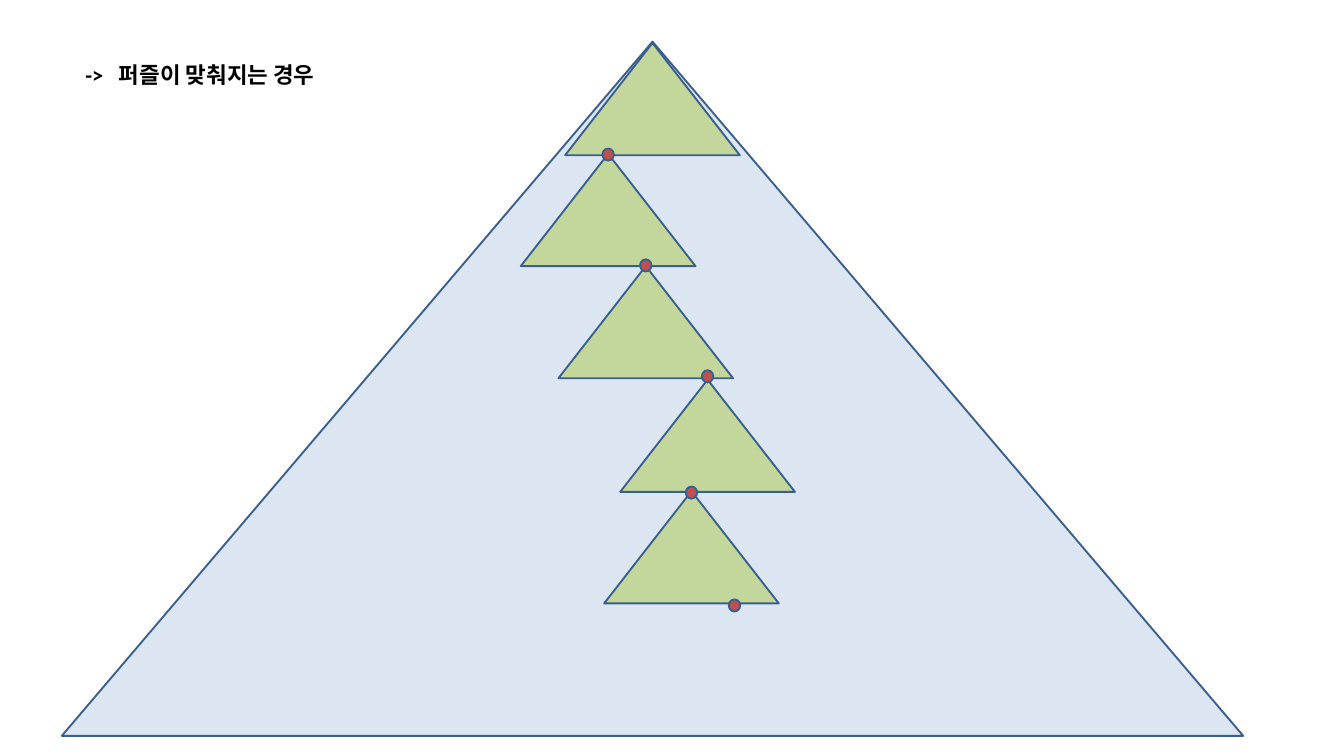
from pptx import Presentation
from pptx.dml.color import RGBColor
from pptx.enum.shapes import MSO_SHAPE as SHAPE
from pptx.enum.text import MSO_ANCHOR, MSO_AUTO_SIZE, PP_ALIGN
from pptx.oxml.ns import qn
from pptx.util import Inches, Pt
from lxml import etree

PALE_BLUE = RGBColor(0xDC, 0xE6, 0xF2)
GREEN = RGBColor(0xC3, 0xD6, 0x9B)
RED = RGBColor(0xC0, 0x50, 0x4D)
OUTLINE = RGBColor(0x3A, 0x5F, 0x8C)
BLACK = RGBColor(0, 0, 0)

# Content: heading, tops of the small triangles, centres of the joints
HEADING = "->\t퍼즐이 맞춰지는 경우"
APEXES = [(9.71, 0.64), (9.05, 2.29), (9.61, 3.96), (10.53, 5.65), (10.29, 7.31)]
JOINTS = [(9.05, 2.3), (9.61, 3.95), (10.53, 5.6), (10.29, 7.33), (10.93, 9.01)]
PIECE_W, PIECE_H = 2.6, 1.67
DOT_W, DOT_H = 0.17, 0.18


def add_shape(s, kind, left, top, width, height, fill):
    sp = s.shapes.add_shape(kind, Inches(left), Inches(top), Inches(width), Inches(height))
    sp.shadow.inherit = False
    sp.fill.solid()
    sp.fill.fore_color.rgb = fill
    sp.line.color.rgb = OUTLINE
    sp.line.width = Pt(2)


prs = Presentation()
prs.slide_width, prs.slide_height = Inches(20), Inches(11.25)
s = prs.slides.add_slide(prs.slide_layouts[5])

# Heading
title = s.shapes.title
title.left, title.top = Inches(1.06), Inches(0.55)
title.width, title.height = Inches(4.17), Inches(0.81)
tf = title.text_frame
tf.text = HEADING
tf.word_wrap = True
tf.auto_size = MSO_AUTO_SIZE.NONE
tf.vertical_anchor = MSO_ANCHOR.BOTTOM
tf.margin_left = Inches(0.21)
p = tf.paragraphs[0]
p.alignment = PP_ALIGN.LEFT
tabs = etree.SubElement(p._p.get_or_add_pPr(), qn("a:tabLst"))
etree.SubElement(tabs, qn("a:tab"), pos=str(Inches(0.5)), algn="l")
for r in p.runs:
    r.font.name = "Calibri"
    r.font.size = Pt(24)
    r.font.bold = True
    r.font.color.rgb = BLACK

# Large triangle, the chain of pieces inside it, and the joints on top
add_shape(s, SHAPE.ISOSCELES_TRIANGLE, 0.92, 0.62, 17.58, 10.33, PALE_BLUE)
for x, y in APEXES:
    add_shape(s, SHAPE.ISOSCELES_TRIANGLE, x - PIECE_W / 2, y, PIECE_W, PIECE_H, GREEN)
for x, y in JOINTS:
    add_shape(s, SHAPE.OVAL, x - DOT_W / 2, y - DOT_H / 2, DOT_W, DOT_H, RED)

prs.save("out.pptx")
